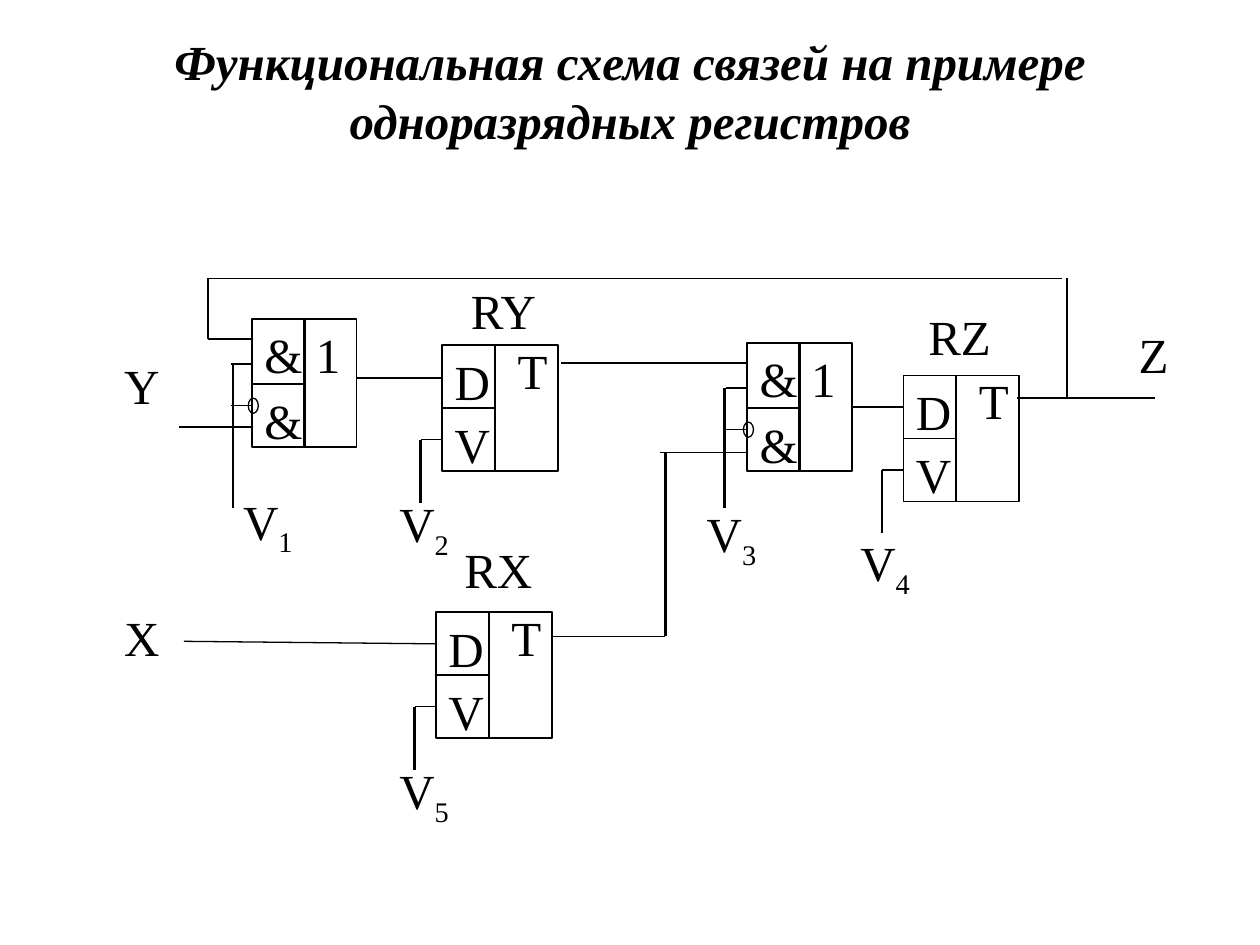
from pptx import Presentation, util as u
from pptx.dml.color import RGBColor
from pptx.enum import shapes, text
from pptx.oxml.ns import qn
from lxml import etree

BLACK = RGBColor(0, 0, 0)
FONT, SIZE = "Times New Roman", u.Pt(28)
THIN, EDGE, THICK = 0.74, 0.99, 1.5

prs = Presentation()
prs.slide_width, prs.slide_height = u.Inches(10), u.Inches(7.5)
COL, ROW = prs.slide_width / 10, prs.slide_height / 7.5
s = prs.slides.add_slide(prs.slide_layouts[5])


def label(x, y, w, h, words, sub="", align=text.PP_ALIGN.LEFT):
    """Write a label, with an optional subscript, at a grid position."""
    sp = s.shapes.add_textbox(int(x * COL), int(y * ROW), int(w * COL), int(h * ROW))
    tf = sp.text_frame
    tf.word_wrap = True
    p = tf.paragraphs[0]
    p.text = words
    p.alignment = align
    if sub:
        r = p.add_run()
        r.text = sub
        r.font._element.set("baseline", "-25000")
    for r in p.runs:
        r.font.name, r.font.size, r.font.color.rgb = FONT, SIZE, BLACK


def wire(x1, y1, x2, y2, width=THIN):
    """Draw a straight wire between two grid points."""
    c = s.shapes.add_connector(shapes.MSO_CONNECTOR.STRAIGHT, int(x1 * COL),
                               int(y1 * ROW), int(x2 * COL), int(y2 * ROW))
    c.line.color.rgb, c.line.width = BLACK, u.Pt(width)
    etree.SubElement(c._element.spPr, qn("a:effectLst"))


# Title
title = s.shapes.title
title.left, title.top = int(0.75 * COL), int(0.25 * ROW)
title.width, title.height = int(8.5 * COL), int(0.94 * ROW)
tf = title.text_frame
tf.text = "Функциональная схема связей на примере одноразрядных регистров"
tf.word_wrap = True
tf.vertical_anchor = text.MSO_ANCHOR.MIDDLE
p = tf.paragraphs[0]
p.alignment = text.PP_ALIGN.CENTER
f = p.runs[0].font
f.name, f.size, f.bold, f.italic, f.color.rgb = FONT, SIZE, True, True, BLACK

RECT, OVAL = shapes.MSO_SHAPE.RECTANGLE, shapes.MSO_SHAPE.OVAL
outlines = []

# Registers: D and V inputs, T body, control wire from V
for x, y in [(3.51, 2.74), (7.17, 2.98), (3.46, 4.86)]:
    outlines += [(RECT, x, y, 0.42, 0.5, EDGE),
                 (RECT, x, y + 0.5, 0.42, 0.5, EDGE),
                 (RECT, x + 0.42, y, 0.5, 1, EDGE)]
    label(x, y, 0.26, 0.54, "D")
    label(x, y + 0.5, 0.42, 0.54, "V")
    label(x + 0.5, y - 0.09, 0.42, 0.54, "T")
    wire(x, y + 0.75, x - 0.17, y + 0.75)
    wire(x - 0.17, y + 0.75, x - 0.17, y + 1.25, THICK)

# AND-OR gates: two & cells, the 1 cell, an inverted input
for x, y in [(2, 2.53), (5.93, 2.72)]:
    outlines += [(RECT, x, y, 0.42, 0.52, EDGE),
                 (RECT, x, y + 0.52, 0.42, 0.5, EDGE),
                 (RECT, x + 0.41, y, 0.42, 1.02, EDGE),
                 (OVAL, x - 0.03, y + 0.63, 0.08, 0.12, THIN)]
    label(x, y, 0.26, 0.57, "&")
    label(x, y + 0.52, 0.26, 0.54, "&")
    label(x + 0.41, y, 0.26, 1.1, "1")
    for pin in (0.36, 0.69):
        wire(x, y + pin, x - 0.17, y + pin)

for kind, x, y, w, h, width in outlines:
    sp = s.shapes.add_shape(kind, int(x * COL), int(y * ROW), int(w * COL), int(h * ROW))
    sp.shadow.inherit = False
    sp.fill.background()
    sp.line.color.rgb, sp.line.width = BLACK, u.Pt(width)

# Signal wires between the blocks
for ends in [(3.5, 3, 2.83, 3), (9.17, 3.16, 8.07, 3.16), (7.17, 3.23, 6.75, 3.23),
             (5.28, 5.05, 4.37, 5.05), (3.46, 5.11, 1.46, 5.09),
             (8.43, 2.21, 1.65, 2.21), (2, 2.69, 1.65, 2.69), (2, 3.39, 1.42, 3.39),
             (5.94, 2.88, 4.45, 2.88), (5.94, 3.59, 5.24, 3.59)]:
    wire(*ends)
for x, top, bottom in [(8.47, 2.21, 3.15), (1.85, 2.88, 4.03), (1.65, 2.21, 2.69),
                       (5.75, 3.08, 4.03), (5.28, 3.59, 5.05)]:
    wire(x, top, x, bottom, THICK)

# Names of signals and registers
for x, y, words, sub in [
        (1.75, 3.85, "V", "1"), (2.99, 3.87, "V", "2"), (5.43, 3.95, "V", "3"),
        (6.65, 4.18, "V", "4"), (2.99, 5.99, "V", "5"), (0.75, 2.77, "Y", ""),
        (0.75, 4.77, "X", ""), (8.78, 2.53, "Z", ""), (3.62, 2.18, "RY", ""),
        (7.24, 2.38, "RZ", ""), (3.58, 4.23, "RX", "")]:
    label(x, y, 0.75, 0.54, words, sub, text.PP_ALIGN.CENTER)

prs.save("out.pptx")
